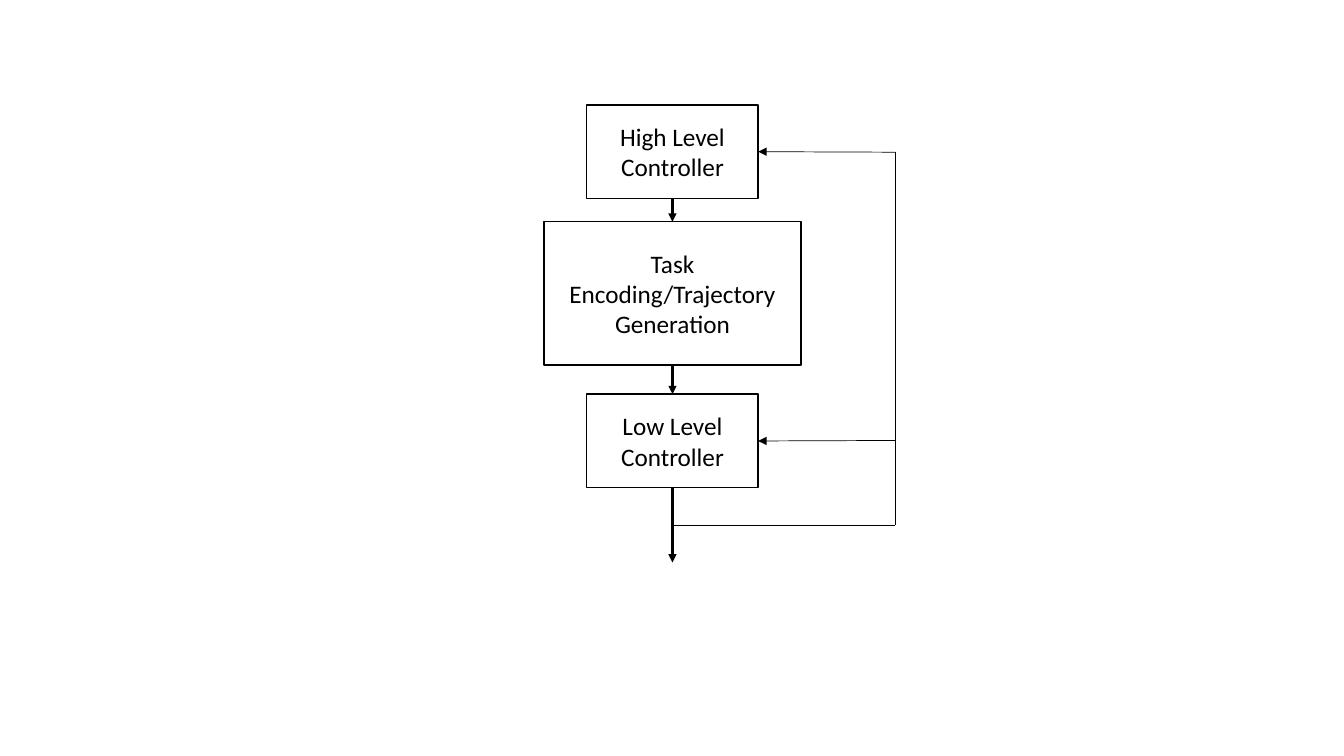
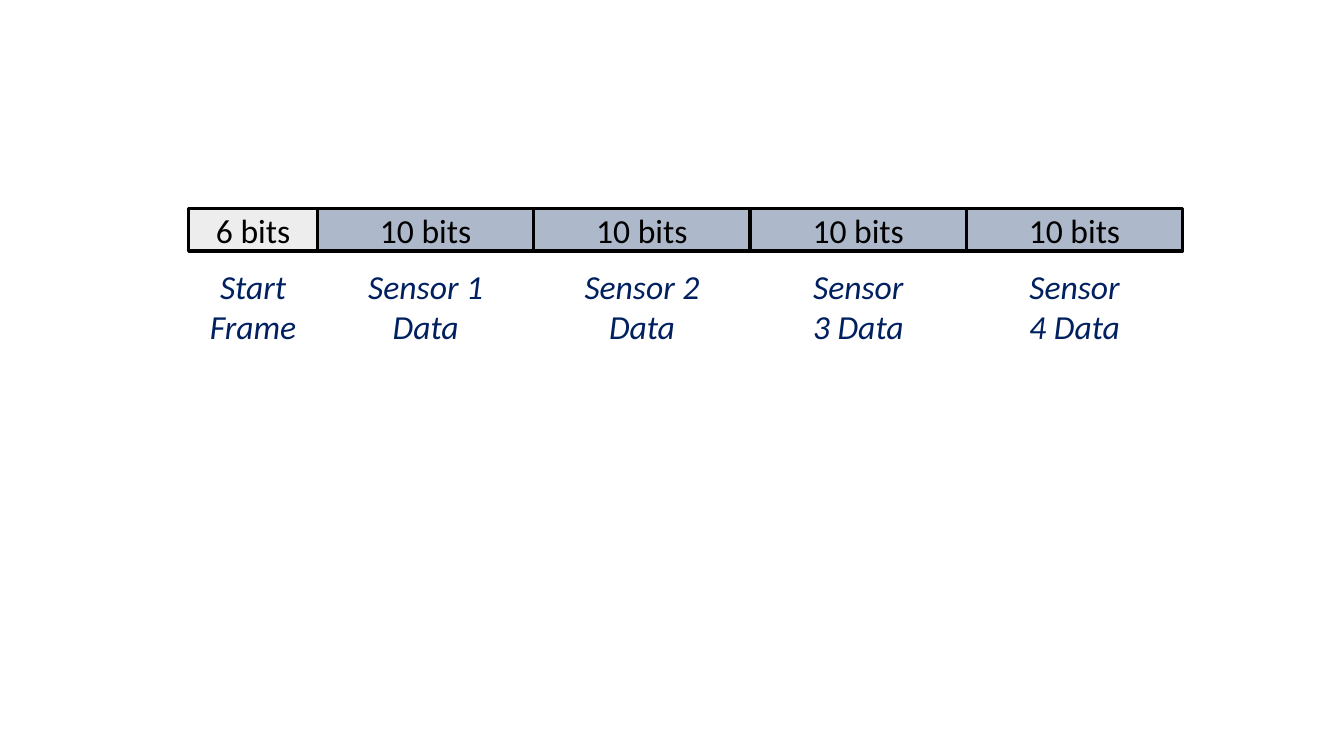
from lxml import etree
from pptx import Presentation
from pptx import util as u
from pptx.dml.color import RGBColor
from pptx.enum import shapes, text
from pptx.oxml.ns import qn

COLORS = {
    "ink": "000000",
    "paper": "FFFFFF",
    "start": "EDEDED",
    "sensor": "ADB9CA",
    "label": "002060",
}
FONT = "Calibri"
TOP, BOTTOM, RIGHT = 0, 2, 3  # connection sites of a rectangle


def color(name):
    return RGBColor.from_string(COLORS[name])


def write(shape, wording, size, color_name, italic=None):
    frame = shape.text_frame
    frame.word_wrap = True
    paragraph = frame.paragraphs[0]
    paragraph.text = wording
    paragraph.alignment = text.PP_ALIGN.CENTER
    font = paragraph.font
    font.name, font.size, font.italic = FONT, u.Pt(size), italic
    font.color.rgb = color(color_name)


def add_box(slide, wording, left, top, width, height, fill, line_width, size):
    box = slide.shapes.add_shape(
        shapes.MSO_SHAPE.RECTANGLE,
        u.Inches(left), u.Inches(top), u.Inches(width), u.Inches(height))
    box.shadow.inherit = False
    box.fill.solid()
    box.fill.fore_color.rgb = color(fill)
    box.line.color.rgb = color("ink")
    box.line.width = u.Pt(line_width)
    box.text_frame.vertical_anchor = text.MSO_ANCHOR.MIDDLE
    write(box, wording, size, "ink")
    return box


def add_label(slide, wording, center, top, width, height):
    label = slide.shapes.add_textbox(
        u.Inches(center - width / 2), u.Inches(top),
        u.Inches(width), u.Inches(height))
    write(label, wording, 24, "label", italic=True)
    label.text_frame.auto_size = text.MSO_AUTO_SIZE.SHAPE_TO_FIT_TEXT


def add_line(slide, start, end, width, arrow=False):
    """Draw a line; each end is an (x, y) point or a (box, site) pair."""
    connector = slide.shapes.add_connector(
        shapes.MSO_CONNECTOR.STRAIGHT, 0, 0, 0, 0)
    if isinstance(start[0], float):
        connector.begin_x, connector.begin_y = map(u.Inches, start)
    else:
        connector.begin_connect(*start)
    if isinstance(end[0], float):
        connector.end_x, connector.end_y = map(u.Inches, end)
    else:
        connector.end_connect(*end)
    connector.line.color.rgb = color("ink")
    connector.line.width = u.Pt(width)
    if arrow:
        outline = connector.line._get_or_add_ln()
        etree.SubElement(outline, qn("a:tailEnd"), type="triangle")
    etree.SubElement(connector._element.spPr, qn("a:effectLst"))


def add_controller_slide(presentation):
    slide = presentation.slides.add_slide(presentation.slide_layouts[6])
    center, feedback_x, output_y, branch_y = 6.67, 8.88, 5.58, 5.21
    high_y, low_y = 1.51, 4.37

    def add_block(wording, top, width, height):
        return add_box(slide, wording, center - width / 2, top, width, height,
                       "paper", 1, 18)

    high = add_block("High Level Controller", 1.04, 1.7, 0.93)
    task = add_block("Task Encoding/Trajectory Generation", 2.2, 2.55, 1.42)
    low = add_block("Low Level Controller", 3.91, 1.7, 0.93)

    for start, end in (((high, BOTTOM), (task, TOP)),
                       ((task, BOTTOM), (low, TOP)),
                       ((low, BOTTOM), (center, output_y))):
        add_line(slide, start, end, 1.5, arrow=True)

    add_line(slide, (center, branch_y), (feedback_x, branch_y), 0.5)
    add_line(slide, (feedback_x, high_y), (feedback_x, branch_y), 0.5)
    for box, y in ((high, high_y), (low, low_y)):
        add_line(slide, (feedback_x, y), (box, RIGHT), 0.5, arrow=True)


def add_frame_slide(presentation):
    slide = presentation.slides.add_slide(presentation.slide_layouts[6])
    left, start_width, sensor_width = 1.87, 1.28, 2.145
    label_widths = (1.86, 1.72, 1.28, 1.28)
    fields = [("6 bits", "Start Frame", "start", start_width, start_width)]
    fields += [("10 bits", f"Sensor {number} Data", "sensor", sensor_width, width)
               for number, width in enumerate(label_widths, 1)]

    for bits, name, fill, width, label_width in fields:
        add_box(slide, bits, left, 2.07, width, 0.42, fill, 2.25, 24)
        add_label(slide, name, left + width / 2, 2.59, label_width, 0.91)
        left += width


def main():
    presentation = Presentation()
    presentation.slide_width = u.Inches(13.33)
    presentation.slide_height = u.Inches(7.5)
    add_controller_slide(presentation)
    add_frame_slide(presentation)
    presentation.save("out.pptx")


if __name__ == "__main__":
    main()
